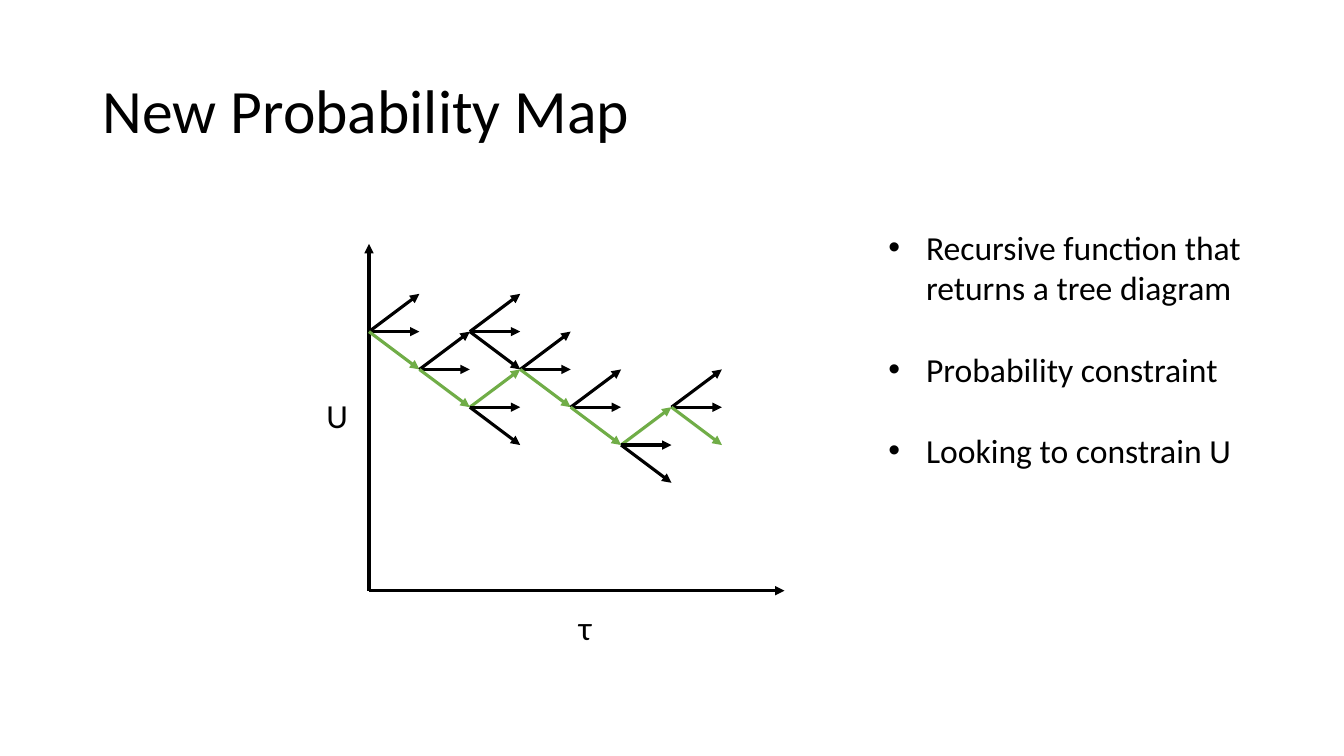
import lxml.etree
import pptx
import pptx.dml.color
import pptx.enum.shapes
import pptx.enum.text
import pptx.oxml.ns
import pptx.util

COLOURS = {"ink": "000000", "path": "70AD47"}
FONT = "Calibri"
AXIS_WEIGHT = 2.25
STEP_X, STEP_Y = 0.5, 0.375
START_DROP = 0.87
UP, LEVEL, DOWN = -1, 0, 1
FORKS = [
    (0, 0, DOWN),
    (1, 1, DOWN),
    (2, 0, None),
    (3, 1, DOWN),
    (4, 2, DOWN),
    (2, 2, UP),
    (5, 3, UP),
    (6, 2, DOWN),
]
POINTS = [
    "Recursive function that returns a tree diagram",
    "Probability constraint",
    "Looking to constrain U",
]


def place(part, box):
    """Move a part to a box of left, top, width and height in inches."""
    for side, length in zip(("left", "top", "width", "height"), box):
        setattr(part, side, pptx.util.Inches(length))


def style(paragraph, size, **formats):
    """Format a paragraph and its font."""
    for name, value in {"alignment": pptx.enum.text.PP_ALIGN.LEFT, **formats}.items():
        setattr(paragraph, name, value)
    for name, value in {"name": FONT, "size": pptx.util.Pt(size)}.items():
        setattr(paragraph.font, name, value)
    paragraph.font.color.rgb = pptx.dml.color.RGBColor.from_string(COLOURS["ink"])


def arrow(slide, start, end, colour="ink"):
    """Draw an arrow between two points in inches."""
    ends = [pptx.util.Inches(length) for length in (*start, *end)]
    shaft = slide.shapes.add_connector(pptx.enum.shapes.MSO_CONNECTOR.STRAIGHT, *ends)
    shaft.line.width = pptx.util.Pt(AXIS_WEIGHT)
    shaft.line.color.rgb = pptx.dml.color.RGBColor.from_string(COLOURS[colour])
    qn = pptx.oxml.ns.qn
    lxml.etree.SubElement(shaft.line._get_or_add_ln(), qn("a:tailEnd"), type="triangle")
    lxml.etree.SubElement(shaft._element.spPr, qn("a:effectLst"))


def label(slide, text, box):
    """Write an axis label."""
    caption = slide.shapes.add_textbox(0, 0, 0, 0)
    place(caption, box)
    caption.text_frame.word_wrap = True
    caption.text_frame.text = text
    style(caption.text_frame.paragraphs[0], 24)


def heading(slide, box):
    """Fill the title placeholder."""
    title = slide.shapes.title
    place(title, box)
    title.text_frame.text = "New Probability Map"
    title.text_frame.vertical_anchor = pptx.enum.text.MSO_ANCHOR.MIDDLE
    style(title.text_frame.paragraphs[0], 44, line_spacing=0.9)


def tree_plot(slide, box):
    """Draw the axes, their labels and the tree of forks."""
    left, top, width, height = box
    corner = (left, top + height)
    arrow(slide, corner, (left, top))
    arrow(slide, corner, (left + width, top + height))
    for column, row, chosen in FORKS:
        x, y = left + column * STEP_X, top + START_DROP + row * STEP_Y
        for branch in (UP, LEVEL, DOWN):
            colour = "path" if branch == chosen else "ink"
            arrow(slide, (x, y), (x + STEP_X, y + branch * STEP_Y), colour)
    label(slide, "U", (left - 0.52, top + 1.45, 0.74, 0.5))
    label(slide, "τ", (left + 1.98, top + height + 0.11, 0.75, 0.5))


def point_list(slide, box):
    """Fill the body placeholder with the bulleted points."""
    body = slide.placeholders[1]
    place(body, box)
    frame = body.text_frame
    frame.text = "\n".join(POINTS)
    frame.auto_size = pptx.enum.text.MSO_AUTO_SIZE.NONE
    indent = pptx.util.Inches(0.375)
    for number, paragraph in enumerate(frame.paragraphs):
        gap = pptx.util.Pt(29.3 if number else 0)
        style(paragraph, 24, space_before=gap, line_spacing=1.0)
        properties = paragraph._p.get_or_add_pPr()
        properties.set("marL", str(indent))
        properties.set("indent", str(-indent))


def main():
    """Build and save the slide."""
    deck = pptx.Presentation()
    deck.slide_width = pptx.util.Inches(13.33)
    deck.slide_height = pptx.util.Inches(7.5)
    slide = deck.slides.add_slide(deck.slide_layouts[1])
    heading(slide, (0.92, 0.4, 11.5, 1.45))
    tree_plot(slide, (3.66, 2.42, 4.12, 3.44))
    point_list(slide, (8.71, 2.2, 4.12, 2.52))
    deck.save("out.pptx")


if __name__ == "__main__":
    main()
